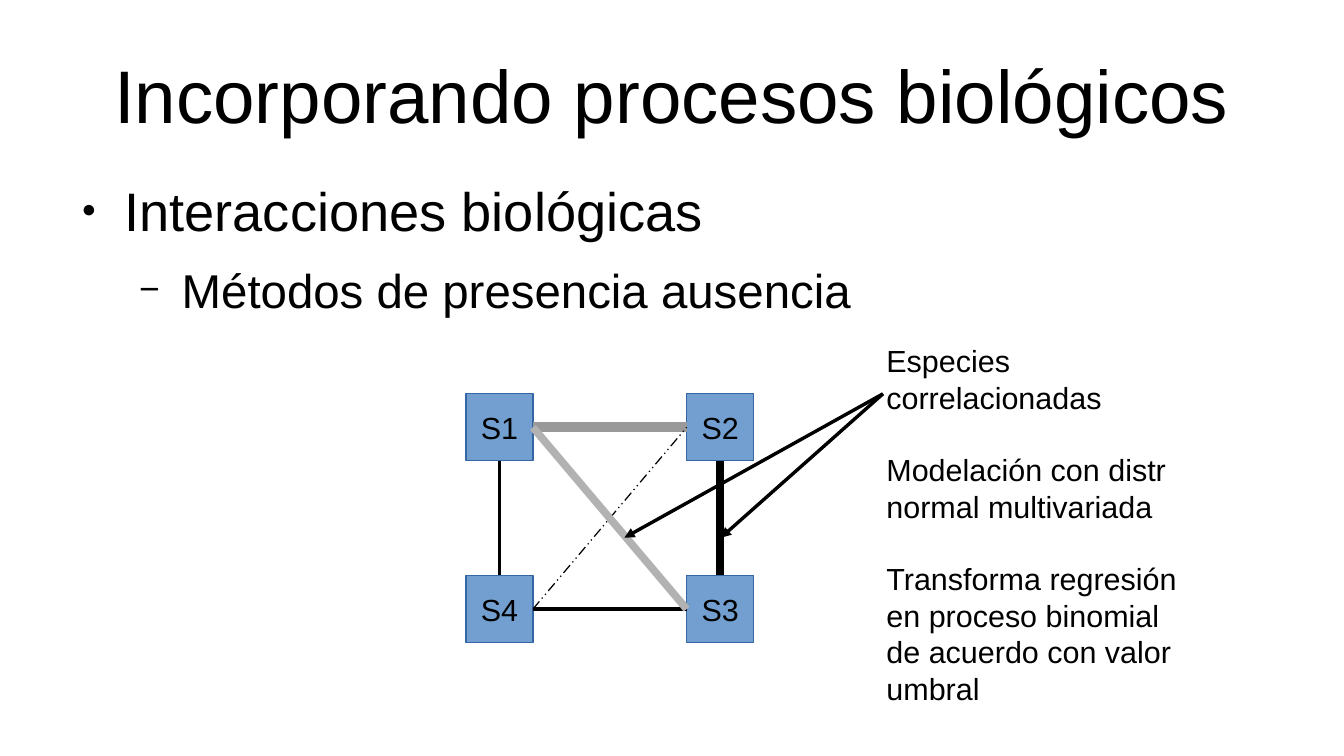
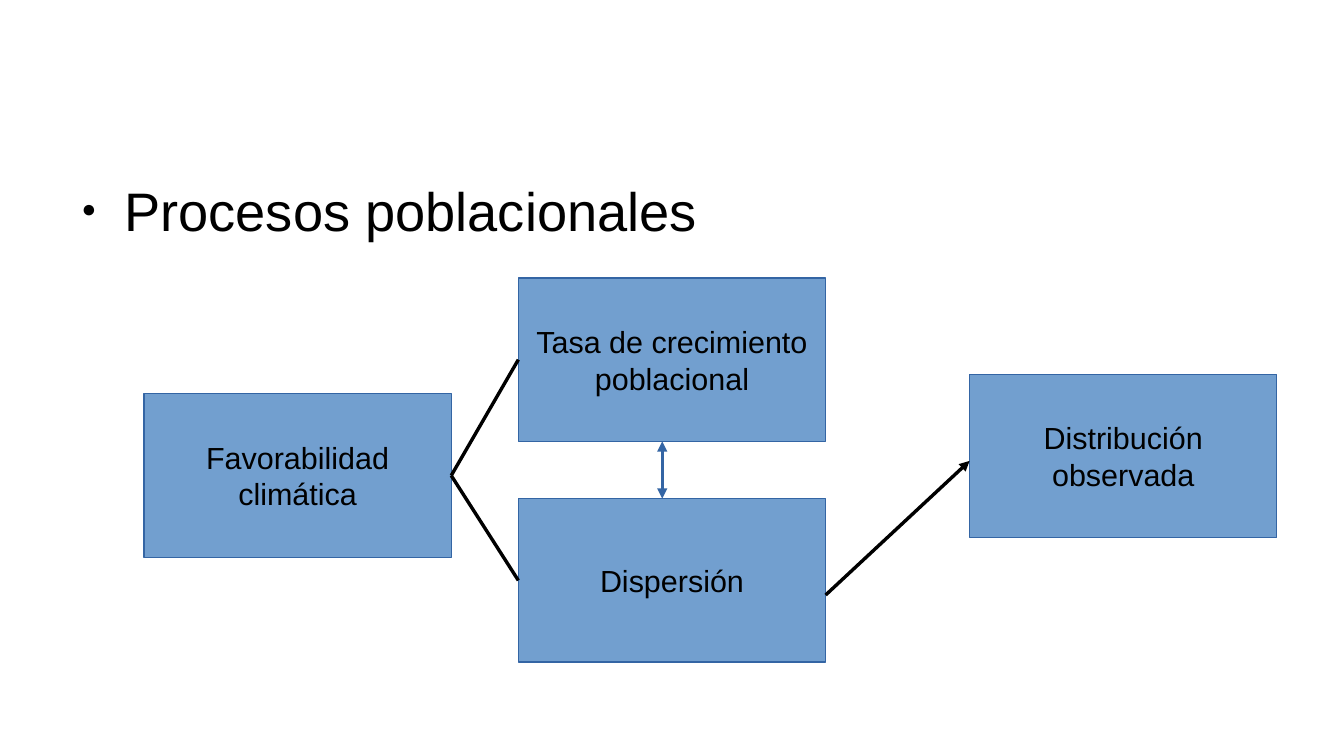
from dataclasses import dataclass
from typing import NamedTuple

from lxml import etree
from pptx import Presentation
from pptx.dml.color import RGBColor
from pptx.enum.dml import MSO_LINE
from pptx.enum.shapes import MSO_CONNECTOR, MSO_SHAPE
from pptx.enum.text import MSO_ANCHOR, MSO_AUTO_SIZE, PP_ALIGN
from pptx.oxml.ns import qn
from pptx.util import Inches, Pt

RECTANGLE = MSO_SHAPE.RECTANGLE
STRAIGHT = MSO_CONNECTOR.STRAIGHT
DASH_DOT_DOT = MSO_LINE.DASH_DOT_DOT
LEFT, CENTER = PP_ALIGN.LEFT, PP_ALIGN.CENTER
TOP, MIDDLE = MSO_ANCHOR.TOP, MSO_ANCHOR.MIDDLE
NO_FIT = MSO_AUTO_SIZE.NONE
SIDE_TOP, SIDE_LEFT, SIDE_BOTTOM, SIDE_RIGHT = range(4)


@dataclass(frozen=True)
class Theme:
    """Colours, font and type sizes shared by the slides."""
    font: str = "Arial"
    ink: str = "000000"
    paper: str = "FFFFFF"
    box_fill: str = "729FCF"
    box_edge: str = "3465A4"
    strong_gray: str = "999999"
    soft_gray: str = "B2B2B2"
    title_size: float = 44
    list_sizes: tuple[float, float] = (32, 28)
    text_size: float = 18


THEME = Theme()


class Area(NamedTuple):
    """Left, top, width and height in inches."""
    left: float
    top: float
    width: float
    height: float


class Point(NamedTuple):
    """A free line end in inches."""
    x: float
    y: float


class Joint(NamedTuple):
    """A line end at the middle of a box side."""
    box: str
    side: int


class BulletLevel(NamedTuple):
    """Look of one level of the list."""
    mark: str
    mark_percent: int
    indent: float
    size: float
    space_before: float


class Bullet(NamedTuple):
    """One item of the list."""
    text: str
    level: int = 0


@dataclass(frozen=True)
class Box:
    """A labelled rectangle, one paragraph per line of its label."""
    key: str
    area: Area
    label: tuple[str, ...]


@dataclass(frozen=True)
class Link:
    """A line between two joints or free points."""
    begin: Joint | Point
    end: Joint | Point
    color: str = THEME.ink
    width: float = 0
    dash: MSO_LINE | None = None
    heads: tuple[str, ...] = ()


SLIDE_WIDTH, SLIDE_HEIGHT = 11.02, 6.2
TITLE_AREA = Area(0.55, 0.25, 9.92, 1.04)
BODY_AREA = Area(0.55, 1.45, 9.92, 3.6)
NOTES_AREA = Area(7.17, 2.76, 2.6, 2.9)
HANGING = 0.35
LEVELS = (
    BulletLevel("●", 45, 0.47, THEME.list_sizes[0], 14.2),
    BulletLevel("−", 75, 0.94, THEME.list_sizes[1], 11.3),
)
NOTES_GAP = 21

SPECIES_SIZE = 0.55
SPECIES_COLUMNS, SPECIES_ROWS = (3.82, 5.63), (3.23, 4.72)
SPECIES_GRID = (("S1", "S2"), ("S4", "S3"))
SPECIES = [
    Box(name, Area(left, top, SPECIES_SIZE, SPECIES_SIZE), (name,))
    for top, names in zip(SPECIES_ROWS, SPECIES_GRID)
    for left, name in zip(SPECIES_COLUMNS, names)
]
CORRELATED = Point(7.24, 3.23)
SPECIES_LINKS = [
    Link(Joint("S1", SIDE_RIGHT), Joint("S2", SIDE_LEFT), THEME.strong_gray, 6),
    Link(Joint("S2", SIDE_BOTTOM), Joint("S3", SIDE_TOP), width=4.5),
    Link(Joint("S4", SIDE_RIGHT), Joint("S3", SIDE_LEFT)),
    Link(Joint("S4", SIDE_TOP), Joint("S1", SIDE_BOTTOM), width=1.5),
    Link(Joint("S4", SIDE_RIGHT), Joint("S2", SIDE_LEFT), width=0.75, dash=DASH_DOT_DOT),
    Link(Joint("S1", SIDE_RIGHT), Joint("S3", SIDE_LEFT), THEME.soft_gray, 4.5),
    Link(CORRELATED, Point(5.91, 4.41), heads=("tailEnd",)),
    Link(CORRELATED, Point(5.12, 4.41), heads=("tailEnd",)),
]
METHOD_NOTES = (
    "Especies correlacionadas",
    "Modelación con distr normal multivariada",
    "Transforma regresión en proceso binomial de acuerdo con valor umbral",
)

PROCESS_SIZE = (2.52, 1.34)
PROCESSES = [
    Box("climate", Area(1.18, 3.23, *PROCESS_SIZE), ("Favorabilidad", "climática")),
    Box("growth", Area(4.25, 2.28, *PROCESS_SIZE), ("Tasa de crecimiento", "poblacional")),
    Box("dispersal", Area(4.25, 4.09, *PROCESS_SIZE), ("Dispersión",)),
    Box("range", Area(7.95, 3.07, *PROCESS_SIZE), ("Distribución", "observada")),
]
PROCESS_LINKS = [
    Link(Joint("climate", SIDE_RIGHT), Joint("growth", SIDE_LEFT)),
    Link(Joint("climate", SIDE_RIGHT), Joint("dispersal", SIDE_LEFT)),
    Link(Point(6.77, 4.88), Point(7.95, 3.78), heads=("tailEnd",)),
    Link(Point(5.43, 3.62), Point(5.43, 4.09), THEME.box_edge, heads=("headEnd", "tailEnd")),
]


def rgb(color: str) -> RGBColor:
    """Turn a hex string into a colour."""
    return RGBColor.from_string(color)


def place(shape, area: Area) -> None:
    """Move and size a shape."""
    shape.left, shape.top, shape.width, shape.height = map(Inches, area)


def set_bullet(paragraph, level: BulletLevel) -> None:
    """Give a paragraph its hanging indent and bullet."""
    properties = paragraph._p.get_or_add_pPr()
    properties.set("marL", str(Inches(level.indent)))
    properties.set("indent", str(-Inches(HANGING)))
    color = etree.SubElement(properties, qn("a:buClr"))
    etree.SubElement(color, qn("a:srgbClr"), val=THEME.ink)
    etree.SubElement(properties, qn("a:buSzPct"), val=str(level.mark_percent * 1000))
    etree.SubElement(properties, qn("a:buChar"), char=level.mark)


def write_paragraph(paragraph, text: str, *, size: float = THEME.text_size,
                    align: PP_ALIGN = LEFT, space_before: float = 0) -> None:
    """Write formatted text into a paragraph."""
    paragraph.alignment = align
    paragraph.space_before = Pt(space_before)
    run = paragraph.add_run()
    run.text = text
    run.font.name = THEME.font
    run.font.size = Pt(size)
    run.font.color.rgb = rgb(THEME.ink)


def set_frame(frame, *, anchor: MSO_ANCHOR = TOP, wrap: bool = True,
              inset: tuple[float, float] = (0.1, 0.05)) -> None:
    """Set anchoring, wrapping and margins of a text frame."""
    frame.auto_size = NO_FIT
    frame.word_wrap = wrap
    frame.vertical_anchor = anchor
    frame.margin_left = frame.margin_right = Inches(inset[0])
    frame.margin_top = frame.margin_bottom = Inches(inset[1])


def write_lines(frame, lines: tuple[str, ...], *, gap: float = 0, **text_format) -> None:
    """Write one paragraph per line, with a gap between paragraphs."""
    for index, line in enumerate(lines):
        paragraph = frame.add_paragraph() if index else frame.paragraphs[0]
        write_paragraph(paragraph, line, space_before=gap if index else 0, **text_format)


def fill_title(slide, title: str) -> None:
    """Write the title, or remove its placeholder when there is none."""
    heading = slide.shapes.title
    if not title:
        heading.element.getparent().remove(heading.element)
        return
    place(heading, TITLE_AREA)
    set_frame(heading.text_frame, anchor=MIDDLE, inset=(0, 0))
    write_lines(heading.text_frame, (title,), size=THEME.title_size, align=CENTER)


def fill_body(slide, bullets: list[Bullet]) -> None:
    """Write the bulleted list into the body placeholder."""
    body = slide.placeholders[1]
    place(body, BODY_AREA)
    frame = body.text_frame
    set_frame(frame, inset=(0, 0))
    for index, bullet in enumerate(bullets):
        paragraph = frame.add_paragraph() if index else frame.paragraphs[0]
        level = LEVELS[bullet.level]
        paragraph.level = bullet.level
        set_bullet(paragraph, level)
        write_paragraph(paragraph, bullet.text, size=level.size,
                        space_before=level.space_before if index else 0)


def draw_box(slide, box: Box):
    """Draw a labelled rectangle."""
    rectangle = slide.shapes.add_shape(RECTANGLE, *map(Inches, box.area))
    rectangle.shadow.inherit = False
    rectangle.fill.solid()
    rectangle.fill.fore_color.rgb = rgb(THEME.box_fill)
    rectangle.line.color.rgb = rgb(THEME.box_edge)
    rectangle.line.width = Pt(0)
    set_frame(rectangle.text_frame, anchor=MIDDLE, wrap=False)
    write_lines(rectangle.text_frame, box.label, align=CENTER)
    return rectangle


def draw_link(slide, link: Link, rectangles: dict) -> None:
    """Draw a line and join its ends to the boxes they touch."""
    ends = (link.begin, link.end)
    points = [end if isinstance(end, Point) else Point(0, 0) for end in ends]
    line = slide.shapes.add_connector(
        STRAIGHT, *(Inches(value) for point in points for value in point))
    for end, join in zip(ends, (line.begin_connect, line.end_connect)):
        if isinstance(end, Joint):
            join(rectangles[end.box], end.side)
    line.line.color.rgb = rgb(link.color)
    line.line.width = Pt(link.width)
    if link.dash is not None:
        line.line.dash_style = link.dash
    properties = line.element.spPr
    outline = properties.find(qn("a:ln"))
    for head in link.heads:
        etree.SubElement(outline, qn(f"a:{head}"), type="triangle")
    etree.SubElement(properties, qn("a:effectLst"))


def add_diagram_slide(deck, title: str, bullets: list[Bullet],
                      boxes: list[Box], links: list[Link]):
    """Add a slide with an optional title, a list and a diagram."""
    slide = deck.slides.add_slide(deck.slide_layouts[1])
    slide.background.fill.solid()
    slide.background.fill.fore_color.rgb = rgb(THEME.paper)
    fill_title(slide, title)
    fill_body(slide, bullets)
    rectangles = {box.key: draw_box(slide, box) for box in boxes}
    for link in links:
        draw_link(slide, link, rectangles)
    return slide


def main() -> None:
    """Build and save the presentation."""
    deck = Presentation()
    deck.slide_width, deck.slide_height = Inches(SLIDE_WIDTH), Inches(SLIDE_HEIGHT)
    interactions = add_diagram_slide(
        deck, "Incorporando procesos biológicos",
        [Bullet("Interacciones biológicas"), Bullet("Métodos de presencia ausencia", 1)],
        SPECIES, SPECIES_LINKS)
    notes = interactions.shapes.add_textbox(*map(Inches, NOTES_AREA)).text_frame
    set_frame(notes)
    write_lines(notes, METHOD_NOTES, gap=NOTES_GAP)
    add_diagram_slide(deck, "", [Bullet("Procesos poblacionales")], PROCESSES, PROCESS_LINKS)
    deck.save("out.pptx")


if __name__ == "__main__":
    main()
